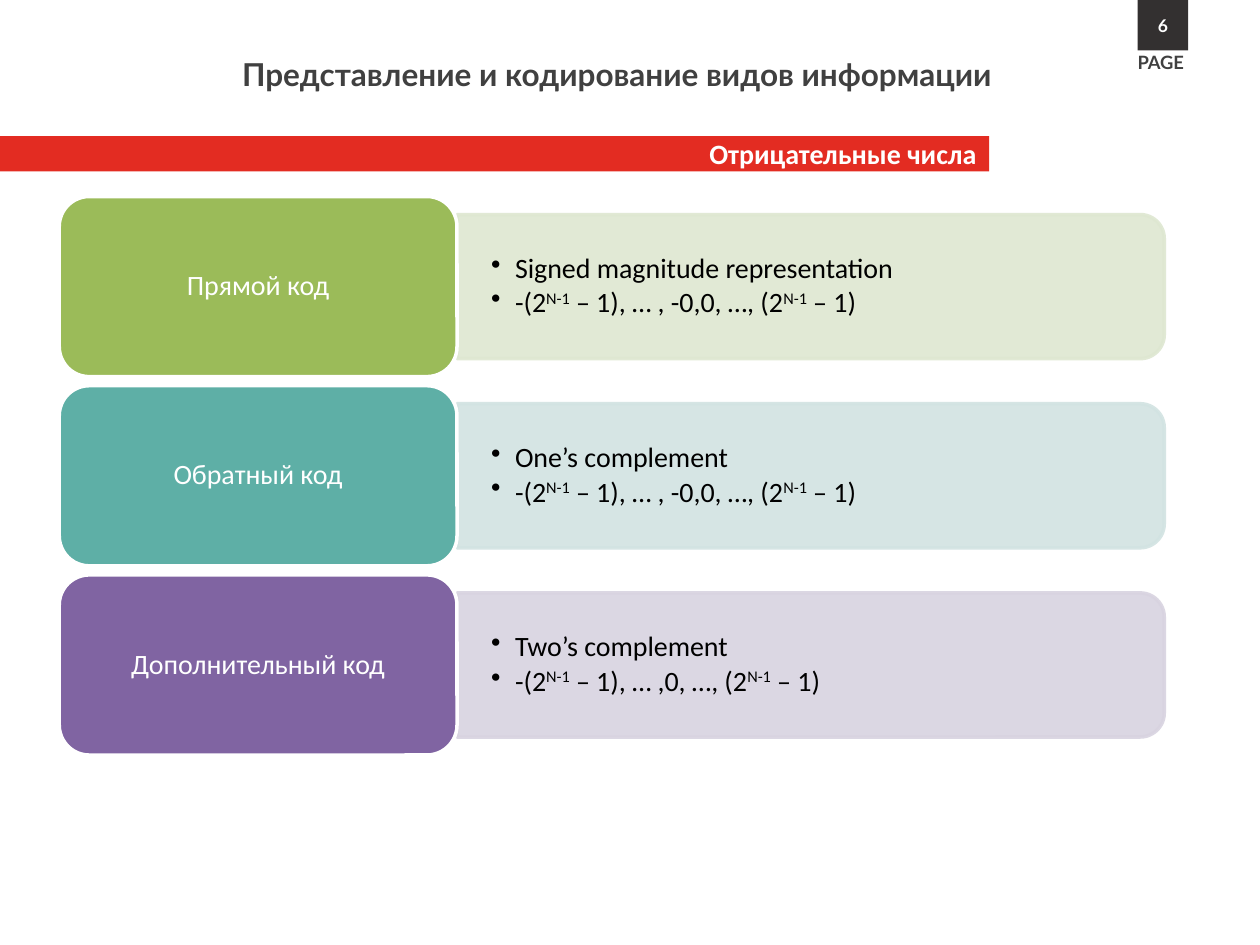
import lxml.etree
import pptx
import pptx.dml.color
import pptx.enum.shapes
import pptx.enum.text
import pptx.oxml.ns
import pptx.util

Inches, Pt = pptx.util.Inches, pptx.util.Pt
SHAPE = pptx.enum.shapes.MSO_SHAPE
ALIGN = pptx.enum.text.PP_ALIGN
ANCHOR = pptx.enum.text.MSO_ANCHOR

# Content
TITLE = "Представление и кодирование видов информации"
SUBTITLE = "Отрицательные числа"
PAGE_LABEL, PAGE_NUMBER = "PAGE", "6"
SIGNED_ZEROS = ["-(2", "N-1", " – 1), … , -0,0, …, (2", "N-1", " – 1)"]
SINGLE_ZERO = ["-(2", "N-1", " – 1), … ,0, …, (2", "N-1", " – 1)"]
# label, label colour, band colour, bullets (every second run is raised)
CODES = [
    ("Прямой код", "9BBB59", "DEE7D1", [["Signed magnitude representation"], SIGNED_ZEROS]),
    ("Обратный код", "5EAFA6", "D2E3E2", [["One’s complement"], SIGNED_ZEROS]),
    ("Дополнительный код", "8064A2", "D8D3E0", [["Two’s complement"], SINGLE_ZERO]),
]

# Grid of the code rows
LEFT, TOP, WIDTH = 0.47, 1.56, 8.77
LABEL_WIDTH = 0.36 * WIDTH
BAND_WIDTH = WIDTH - LABEL_WIDTH
ROW_HEIGHT = 1.43
ROW_PITCH = 1.05 * ROW_HEIGHT
BAND_HEIGHT = 0.8 * ROW_HEIGHT


def colour(value):
    return pptx.dml.color.RGBColor.from_string(value)


def add_element(parent, tag, **attributes):
    lxml.etree.SubElement(parent, pptx.oxml.ns.qn(tag), **attributes)


def add_runs(paragraph, texts, size, value, font="Calibri", bold=False):
    for index, text in enumerate(texts):
        run = paragraph.add_run()
        run.text = text
        run.font.size, run.font.name, run.font.bold = Pt(size), font, bold
        run.font.color.rgb = colour(value)
        if index % 2:
            run.font._element.set("baseline", "30000")


def set_frame(shape, anchor, margins=(0.1, 0.05), wrap=True):
    frame = shape.text_frame
    frame.word_wrap, frame.vertical_anchor = wrap, anchor
    frame.margin_left = frame.margin_right = Inches(margins[0])
    frame.margin_top = frame.margin_bottom = Inches(margins[1])
    return frame


def add_box(slide, kind, place, fill, line=None):
    shape = slide.shapes.add_shape(kind, *map(Inches, place))
    shape.shadow.inherit = False
    shape.fill.solid()
    shape.fill.fore_color.rgb = colour(fill)
    if line:
        shape.line.color.rgb = colour(line)
        shape.line.width = Pt(2)
    else:
        shape.line.fill.background()
    return shape


def add_text(shape, text, size, value, font, align, anchor, wrap=True):
    paragraph = set_frame(shape, anchor, wrap=wrap).paragraphs[0]
    paragraph.alignment = align
    add_runs(paragraph, [text], size, value, font, bold=True)


def add_band(slide, centre, fill):
    middle = LEFT + LABEL_WIDTH + BAND_WIDTH / 2
    place = (middle - BAND_HEIGHT / 2, centre - BAND_WIDTH / 2, BAND_HEIGHT, BAND_WIDTH)
    band = add_box(slide, SHAPE.ROUND_2_SAME_RECTANGLE, place, fill, fill)
    band.rotation = 90
    for tint in band._element.spPr.findall(".//" + pptx.oxml.ns.qn("a:srgbClr")):
        add_element(tint, "a:alpha", val="90000")


def add_bullets(slide, centre, bullets):
    height = 0.9 * BAND_HEIGHT
    place = (LEFT + LABEL_WIDTH, centre - height / 2, BAND_WIDTH, height)
    frame = set_frame(slide.shapes.add_textbox(*map(Inches, place)), ANCHOR.MIDDLE, (0.27, 0.14))
    for index, texts in enumerate(bullets):
        paragraph = frame.add_paragraph() if index else frame.paragraphs[0]
        properties = paragraph._p.get_or_add_pPr()
        properties.set("marL", str(Inches(0.19)))
        properties.set("indent", str(-Inches(0.19)))
        add_element(properties, "a:buChar", char="•")
        paragraph.line_spacing, paragraph.space_after = 0.9, Pt(2.4)
        add_runs(paragraph, texts, 16, "000000")


def add_label(slide, top, text, fill):
    place = (LEFT, top, LABEL_WIDTH, ROW_HEIGHT)
    label = add_box(slide, SHAPE.ROUNDED_RECTANGLE, place, fill, "FFFFFF")
    paragraph = set_frame(label, ANCHOR.MIDDLE, (0.07, 0.03)).paragraphs[0]
    paragraph.alignment, paragraph.line_spacing = ALIGN.CENTER, 0.9
    add_runs(paragraph, [text], 16, "FFFFFF")


def main():
    presentation = pptx.Presentation()
    presentation.slide_width, presentation.slide_height = Inches(10), Inches(7.5)
    slide = presentation.slides.add_slide(presentation.slide_layouts[6])

    # Header: subtitle bar, title, page marker
    bar = add_box(slide, SHAPE.RECTANGLE, (0, 1.08, 7.85, 0.28), "E32C22")
    add_text(bar, SUBTITLE, 16, "FFFFFF", "Calibri", ALIGN.RIGHT, ANCHOR.MIDDLE)
    page = slide.shapes.add_textbox(*map(Inches, (8.93, 0.36, 0.59, 0.28)))
    add_text(page, PAGE_LABEL, 10.5, "404040", "Lato", ALIGN.LEFT, ANCHOR.TOP, wrap=False)
    title = slide.shapes.add_textbox(*map(Inches, (1.14, 0.39, 6.83, 0.4)))
    add_text(title, TITLE, 18, "404040", "Lato", ALIGN.RIGHT, ANCHOR.TOP)
    number = add_box(slide, SHAPE.RECTANGLE, (9.03, 0, 0.4, 0.4), "333030")
    add_text(number, PAGE_NUMBER, 10, "FFFFFF", "Lato", ALIGN.CENTER, ANCHOR.MIDDLE)

    # One row per code
    for row, (label, label_fill, band_fill, bullets) in enumerate(CODES):
        top = TOP + row * ROW_PITCH
        centre = top + ROW_HEIGHT / 2
        add_band(slide, centre, band_fill)
        add_bullets(slide, centre, bullets)
        add_label(slide, top, label, label_fill)

    presentation.save("out.pptx")


if __name__ == "__main__":
    main()
